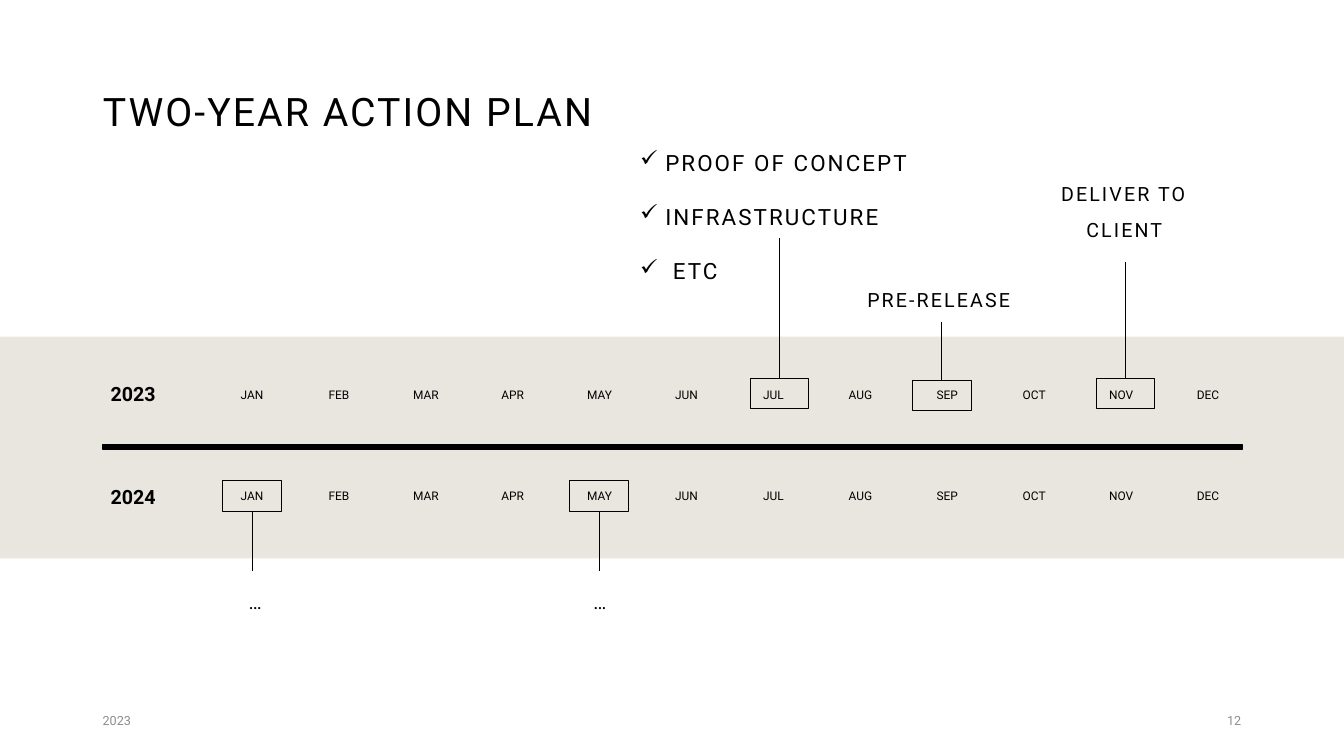
"""Builds the two-year action plan slide: a two-row month timeline with callouts."""
from lxml.etree import SubElement
from pptx import Presentation
from pptx.dml.color import RGBColor
from pptx.enum.shapes import MSO_CONNECTOR, MSO_SHAPE
from pptx.enum.text import MSO_ANCHOR as ANCHOR, MSO_AUTO_SIZE, PP_ALIGN as ALIGN
from pptx.oxml.ns import qn
from pptx.util import Inches, Pt

COLORS = {"ink": "000000", "band": "E9E6DF", "footer": "8C8C8C"}
MONTHS = "JAN FEB MAR APR MAY JUN JUL AUG SEP OCT NOV DEC".split()
SLIDE_W, SLIDE_H = 13.33, 7.5
MARGIN = 0.92
CENTER_JAN, MONTH_STEP = 2.5, 0.862
MONTH_W, MONTH_H = 0.7, 0.22
FRAME_W, FRAME_H = 0.58, 0.3
LABEL_W = 2.25

prs = Presentation()
prs.slide_width, prs.slide_height = Inches(SLIDE_W), Inches(SLIDE_H)
s = prs.slides.add_slide(prs.slide_layouts[5])


def add_rect(x, y, w, h, fill=None, line=None):
    """Add a rectangle with an optional fill colour and line width."""
    sp = s.shapes.add_shape(MSO_SHAPE.RECTANGLE, Inches(x), Inches(y), Inches(w), Inches(h))
    sp.shadow.inherit = False
    if fill:
        sp.fill.solid()
        sp.fill.fore_color.rgb = RGBColor.from_string(COLORS[fill])
    else:
        sp.fill.background()
    if line:
        sp.line.width = Pt(line)
        sp.line.color.rgb = RGBColor.from_string(COLORS["ink"])
    else:
        sp.line.fill.background()
    return sp


def add_text(lines, x, y, w, h, size, color="ink", align=ALIGN.LEFT, anchor=ANCHOR.TOP,
             spacing=1.0, tracking=0, bold=False, bullet=None, sp=None):
    """Write lines into the given shape, or into a new text box."""
    sp = sp or s.shapes.add_textbox(0, 0, 0, 0)
    sp.left, sp.top, sp.width, sp.height = Inches(x), Inches(y), Inches(w), Inches(h)
    tf = sp.text_frame
    tf.word_wrap, tf.auto_size, tf.vertical_anchor = True, MSO_AUTO_SIZE.NONE, anchor
    for i, line in enumerate(lines):
        p = tf.add_paragraph() if i else tf.paragraphs[0]
        p.alignment, p.line_spacing = align, spacing
        p.space_before = Pt(10 if i else 0)
        if bullet:
            pPr = p._p.get_or_add_pPr()
            pPr.set("marL", str(Inches(0.25)))
            pPr.set("indent", str(Inches(-0.25)))
            SubElement(pPr, qn("a:buChar")).set("char", bullet)
        r = p.add_run()
        r.text = line
        r.font.name, r.font.size, r.font.bold = "Roboto", Pt(size), bold
        r.font.color.rgb = RGBColor.from_string(COLORS[color])
        if tracking:
            r._r.get_or_add_rPr().set("spc", str(int(tracking * 100)))


add_text(["TWO-YEAR ACTION PLAN"], MARGIN, 0.4, SLIDE_W - 2 * MARGIN, 1.45, 28,
         anchor=ANCHOR.MIDDLE, spacing=0.9, tracking=1.5, sp=s.shapes.title)

add_rect(0, 3.34, SLIDE_W, 2.2, fill="band")
add_rect(1.02, 4.41, 11.3, 0.05, fill="ink", line=1)

for year, year_y, month_y in [("2023", 3.67, 3.83), ("2024", 4.69, 4.84)]:
    add_text([year], 1, year_y, 0.8, 0.5, 14, anchor=ANCHOR.MIDDLE, spacing=0.9, bold=True)
    for col, month in enumerate(MONTHS):
        x = CENTER_JAN + col * MONTH_STEP - MONTH_W / 2
        add_text([month], x, month_y, MONTH_W, MONTH_H, 8.5, align=ALIGN.CENTER, spacing=0.7)

TOP, BOTTOM = 0, 2
milestones = [
    (7.73, 3.75, TOP, 2.36),
    (9.34, 3.77, TOP, 3.19),
    (11.16, 3.75, TOP, 2.6),
    (2.5, 4.77, BOTTOM, 5.66),
    (5.94, 4.77, BOTTOM, 5.66),
]
for center, frame_y, side, line_end in milestones:
    frame = add_rect(center - FRAME_W / 2, frame_y, FRAME_W, FRAME_H, line=0.5)
    cx = s.shapes.add_connector(MSO_CONNECTOR.STRAIGHT, Inches(center), Inches(frame_y),
                                Inches(center), Inches(line_end))
    cx.begin_connect(frame, side)
    cx.line.width = Pt(0.5)
    cx.line.color.rgb = RGBColor.from_string(COLORS["ink"])
    SubElement(cx._element.spPr, qn("a:effectLst"))

add_text(["PROOF OF CONCEPT", "INFRASTRUCTURE", " ETC"], 6.25, 1.32, 3.14, 1.55, 16,
         anchor=ANCHOR.BOTTOM, spacing=1.5, tracking=1.5, bullet="✓")

labels = [
    ("DELIVER TO CLIENT", 11.15, 1.63, 0.81, ANCHOR.BOTTOM),
    ("PRE-RELEASE", 9.31, 2.69, 0.61, ANCHOR.TOP),
    ("…", 2.53, 5.69, 0.61, ANCHOR.TOP),
    ("…", 5.95, 5.69, 0.61, ANCHOR.TOP),
]
for label, center, y, h, anchor in labels:
    add_text([label], center - LABEL_W / 2, y, LABEL_W, h, 14, align=ALIGN.CENTER,
             anchor=anchor, spacing=1.5, tracking=1.5)

for note, x, align in [("2023", MARGIN, ALIGN.LEFT), ("12", SLIDE_W - MARGIN - 3, ALIGN.RIGHT)]:
    add_text([note], x, 6.95, 3, 0.4, 9, color="footer", align=align, anchor=ANCHOR.MIDDLE)

prs.save("out.pptx")
